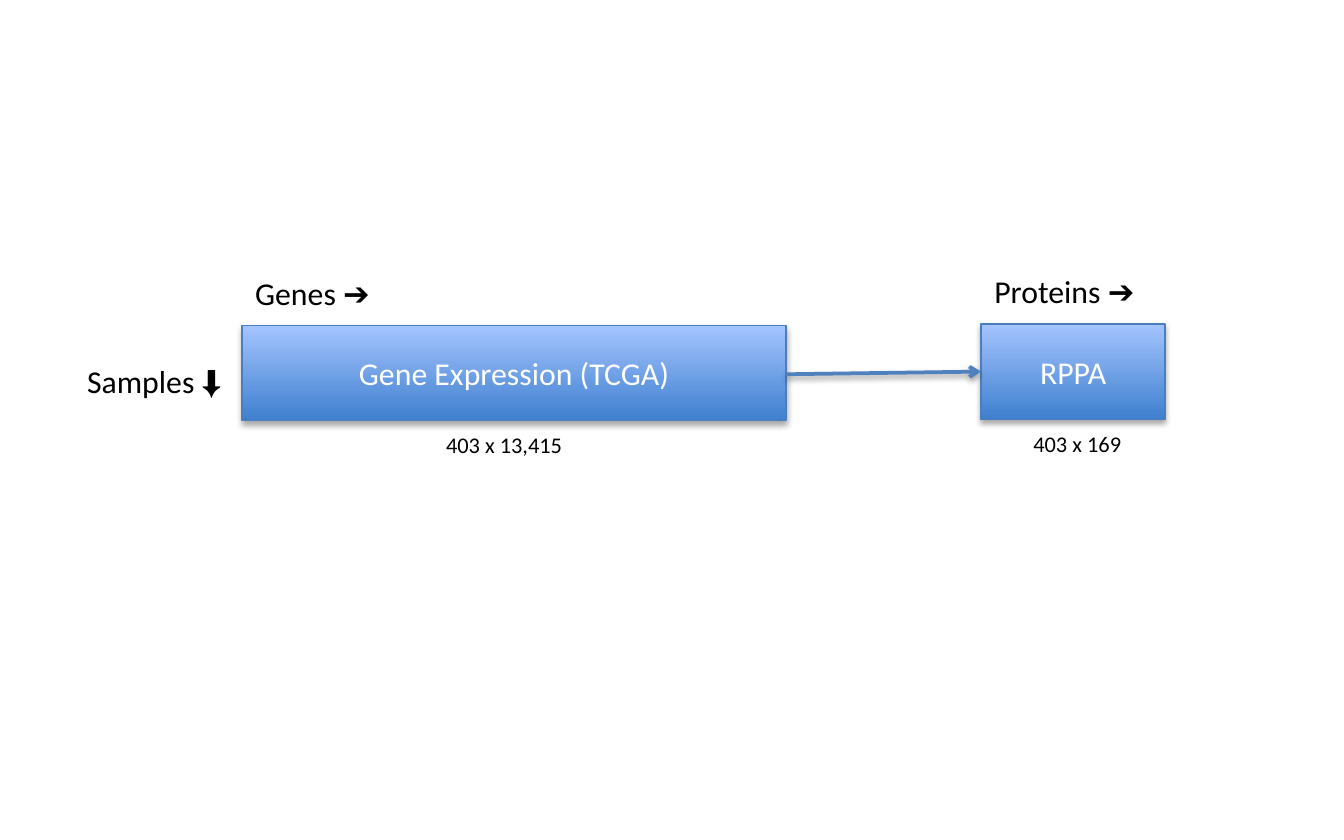
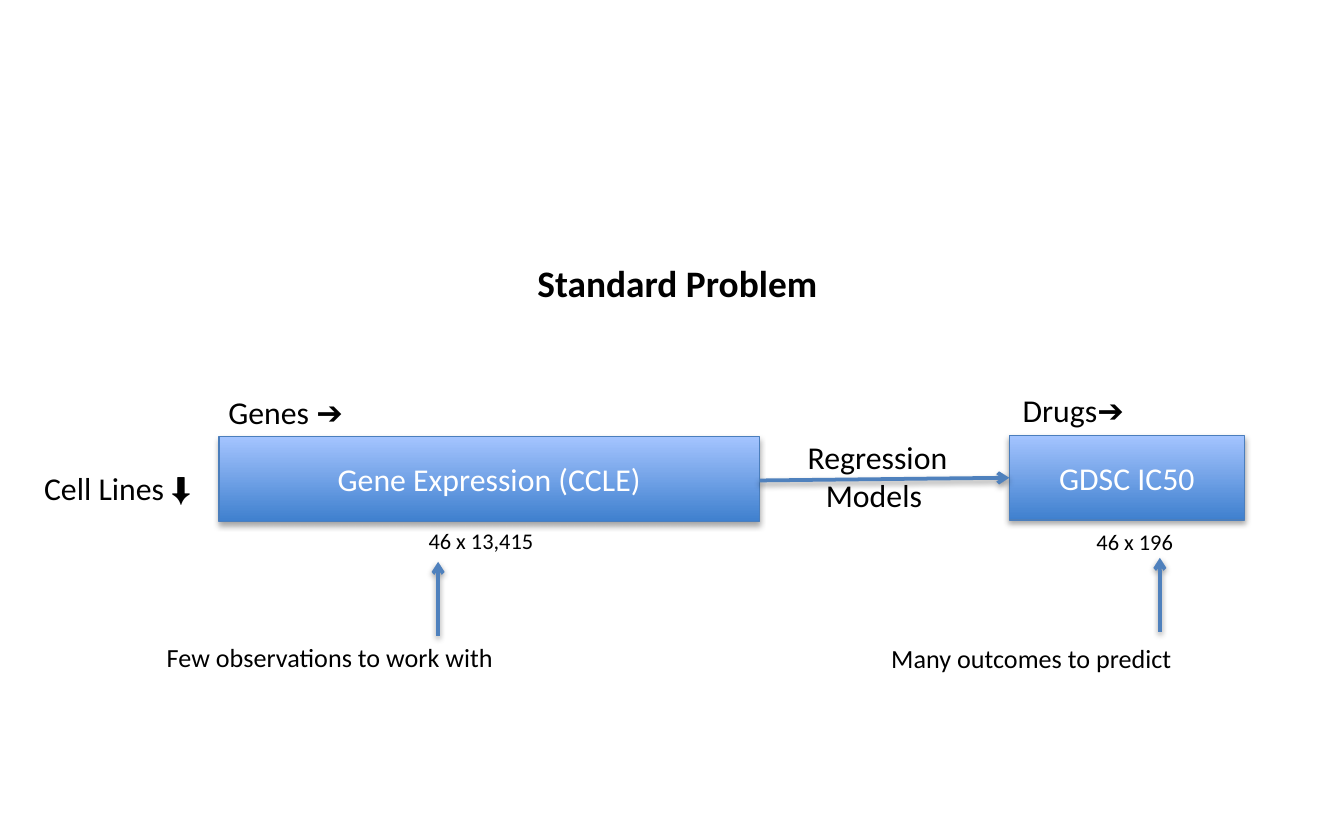
from lxml.etree import SubElement
from pptx import Presentation
from pptx.dml.color import RGBColor
from pptx.enum.shapes import MSO_CONNECTOR as Connector, MSO_SHAPE as Shape
from pptx.enum.text import MSO_ANCHOR as Anchor, MSO_AUTO_SIZE as AutoSize, PP_ALIGN as Align
from pptx.oxml.ns import qn
from pptx.util import Inches, Pt

BLACK = RGBColor(0x00, 0x00, 0x00)
WHITE = RGBColor(0xFF, 0xFF, 0xFF)
DEEP_BLUE = RGBColor(0x3F, 0x80, 0xCE)
PALE_BLUE = RGBColor(0xA4, 0xC4, 0xFF)
EDGE_BLUE = RGBColor(0x4B, 0x7E, 0xBC)
ARROW_BLUE = RGBColor(0x4F, 0x81, 0xBD)
RIGHT, DOWN = "\u2794", "\u2b07"


class Diagram:
    """Holds the style and the current slide of the data-matrix diagrams."""

    formats = {
        "heading": {"name": "Calibri", "size": Pt(20), "bold": True},
        "label": {"name": "Calibri", "size": Pt(17)},
        "note": {"name": "Calibri", "size": Pt(14)},
        "dimension": {"name": "Calibri", "size": Pt(12)},
    }

    def __init__(self):
        self.deck = Presentation()
        self.deck.slide_width, self.deck.slide_height = Inches(10), Inches(6.25)
        self.slide = None

    def new_slide(self):
        self.slide = self.deck.slides.add_slide(self.deck.slide_layouts[6])

    def add_words(self, paragraph, words, style, color=BLACK, **changes):
        run = paragraph.add_run()
        run.text = words
        for attribute, value in {**self.formats[style], **changes}.items():
            setattr(run.font, attribute, value)
        run.font.color.rgb = color

    def cast_shadow(self, effects, distance, opacity):
        shadow = SubElement(effects, qn("a:outerShdw"), blurRad="40000", dist=str(Pt(distance)),
                            dir="5400000", rotWithShape="0")
        color = SubElement(shadow, qn("a:srgbClr"), val=str(BLACK))
        SubElement(color, qn("a:alpha"), val=str(opacity * 1000))

    def matrix(self, name, left, top, width, height):
        box = self.slide.shapes.add_shape(
            Shape.RECTANGLE, Inches(left), Inches(top), Inches(width), Inches(height))
        box.fill.gradient()
        box.fill.gradient_angle = 90
        for stop, color in zip(box.fill.gradient_stops, (DEEP_BLUE, PALE_BLUE)):
            stop.color.rgb = color
        box.line.color.rgb = EDGE_BLUE
        box.line.width = Pt(0.75)
        box.shadow.inherit = False
        self.cast_shadow(box.element.spPr.find(qn("a:effectLst")), 1.8, 35)
        frame = box.text_frame
        frame.vertical_anchor = Anchor.MIDDLE
        frame.paragraphs[0].alignment = Align.CENTER
        self.add_words(frame.paragraphs[0], name, "label", WHITE)

    def text(self, lines, left, top, width, height, style="label",
             symbol="", align=Align.LEFT, wrap=False):
        box = self.slide.shapes.add_textbox(
            Inches(left), Inches(top), Inches(width), Inches(height))
        frame = box.text_frame
        frame.word_wrap = wrap
        frame.auto_size = AutoSize.SHAPE_TO_FIT_TEXT
        for index, words in enumerate(lines.split("\n")):
            paragraph = frame.add_paragraph() if index else frame.paragraphs[0]
            paragraph.alignment = align
            self.add_words(paragraph, words, style)
        if symbol:
            self.add_words(paragraph, symbol, style, name="Arial")

    def arrow(self, x1, y1, x2, y2):
        link = self.slide.shapes.add_connector(
            Connector.STRAIGHT, Inches(x1), Inches(y1), Inches(x2), Inches(y2))
        link.line.color.rgb = ARROW_BLUE
        link.line.width = Pt(2)
        properties = link.element.spPr
        SubElement(properties.find(qn("a:ln")), qn("a:tailEnd"), type="arrow")
        self.cast_shadow(SubElement(properties, qn("a:effectLst")), 1.6, 38)

    def mapping(self, source, target):
        for box in (source, target):
            self.matrix(*box)
        (_, left, top, width, height), (_, target_left, target_top, _, _) = source, target
        self.arrow(left + width, top + height / 2 + 0.01, target_left, target_top + height / 2)

    def save(self):
        self.deck.save("out.pptx")


diagram = Diagram()

diagram.new_slide()
diagram.mapping(("Gene Expression (TCGA)", 1.8, 2.42, 4.05, 0.71),
                ("RPPA", 7.3, 2.41, 1.37, 0.71))
diagram.text("Genes ", 1.8, 1.99, 1.12, 0.39, symbol=RIGHT)
diagram.text("Samples ", 0.55, 2.64, 1.27, 0.39, symbol=DOWN)
diagram.text("Proteins ", 7.3, 1.97, 1.31, 0.39, symbol=RIGHT)
diagram.text("403 x 13,415", 3.22, 3.16, 1.08, 0.3, "dimension")
diagram.text("403 x 169", 7.59, 3.15, 0.86, 0.3, "dimension")

diagram.new_slide()
diagram.mapping(("Gene Expression (CCLE)", 1.63, 3.25, 4.02, 0.63),
                ("GDSC IC50", 7.51, 3.24, 1.75, 0.63))
diagram.text("Standard Problem", 3.9, 1.89, 2.31, 0.44, "heading")
diagram.text("Cell Lines ", 0.23, 3.44, 1.37, 0.39, symbol=DOWN)
diagram.text("Genes ", 1.6, 2.87, 1.12, 0.39, symbol=RIGHT)
diagram.text("Drugs", 7.51, 2.86, 1.02, 0.39, symbol=RIGHT)
diagram.text("46 x 13,415", 3.09, 3.87, 0.99, 0.3, "dimension")
diagram.text("46 x 196", 8.06, 3.88, 0.78, 0.3, "dimension")
diagram.text("Regression\nModels ", 5.9, 3.21, 1.26, 0.67, align=Align.CENTER)
for remark, left, top, arrow_x, arrow_y in (
        ("Few observations to work with", 0.99, 4.72, 3.26, 4.73),
        ("Many outcomes to predict", 6.21, 4.73, 8.63, 4.7)):
    diagram.text(remark, left, top, 2.93, 0.34, "note", align=Align.CENTER, wrap=True)
    diagram.arrow(arrow_x, arrow_y, arrow_x, arrow_y - 0.55)

diagram.save()
